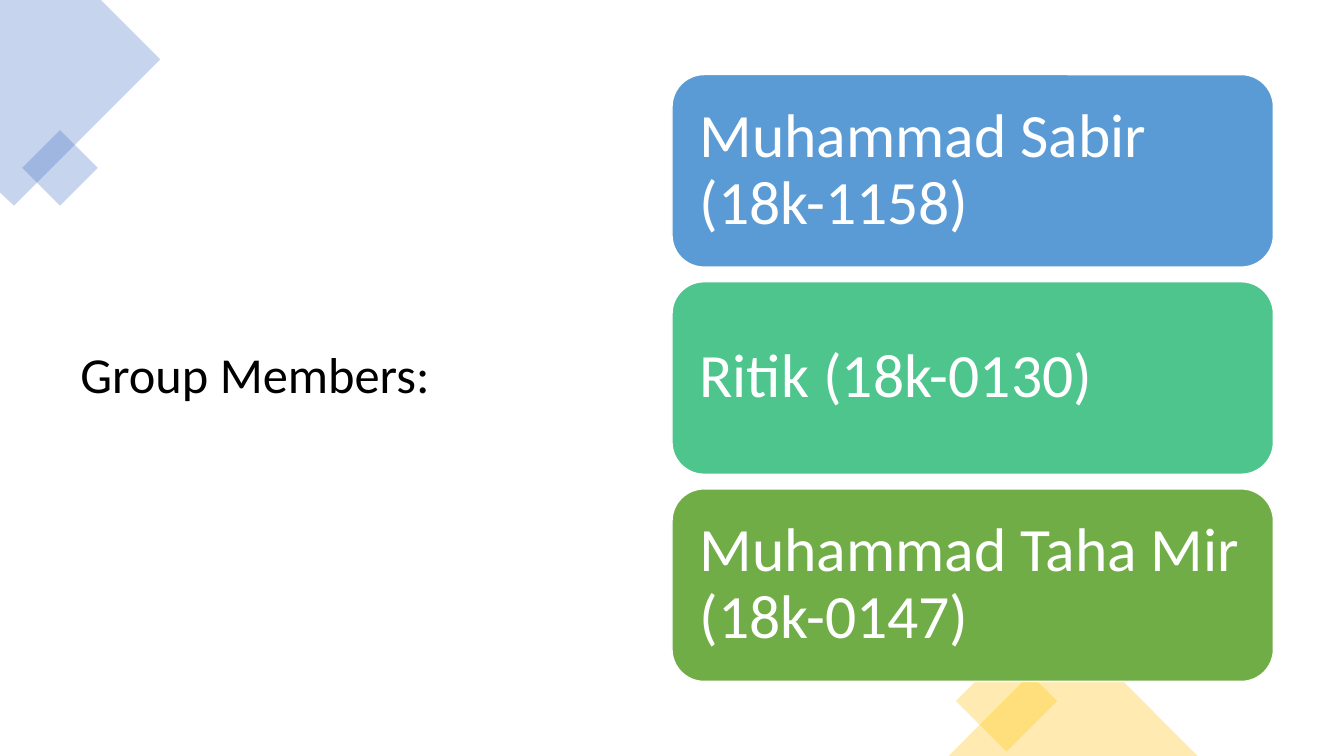
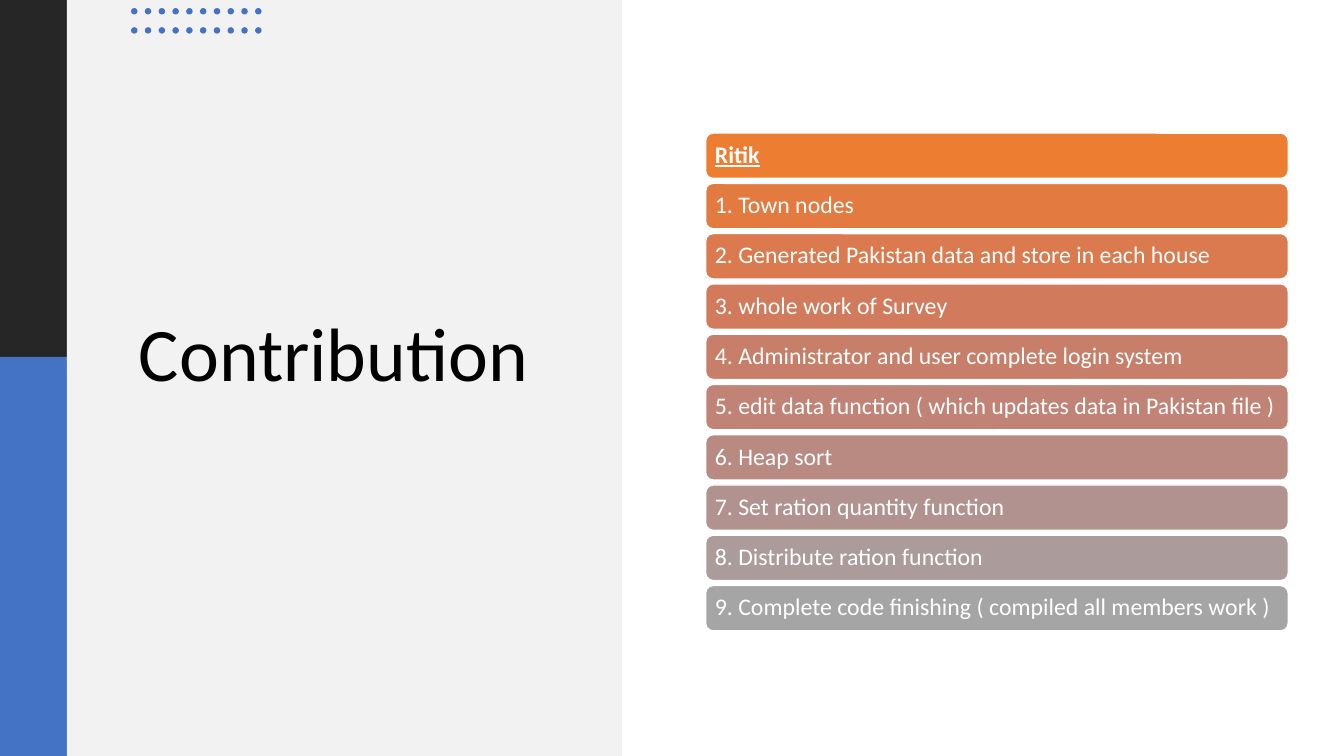
from colorsys import hls_to_rgb, rgb_to_hls
from dataclasses import dataclass, replace

from lxml.etree import SubElement
from pptx import Presentation
from pptx.dml.color import RGBColor
from pptx.enum.shapes import MSO_SHAPE as Preset
from pptx.enum.text import MSO_ANCHOR as Anchor, PP_ALIGN as Align
from pptx.oxml.ns import qn
from pptx.util import Inches, Pt

SLIDE_WIDTH, SLIDE_HEIGHT = Inches(13.333), Inches(7.5)
FONT = "Calibri"
BLACK, WHITE = "000000", "FFFFFF"
BLUE, GOLD, CHARCOAL, PALE_GREY = "4472C4", "FFC000", "262626", "F2F2F2"
ORANGE, GREY = "ED7D31", "A5A5A5"
ACCENT_ALPHA = 30


@dataclass(frozen=True)
class Box:
    """A rectangle in percent of the slide's width and height."""
    left: float
    top: float
    width: float
    height: float

    def emu(self) -> tuple:
        return (across(self.left), down(self.top),
                across(self.width), down(self.height))


@dataclass(frozen=True)
class Part:
    """A preset shape without text."""
    box: Box
    color: str
    preset: Preset = Preset.RECTANGLE
    rotation: float = 0
    alpha: int = 100


@dataclass(frozen=True)
class CardList:
    """A column of equal rounded cards."""
    first: Box
    pitch: float
    inset: float
    size: float


# Slide content
CORNER_OUTLINE = [(0, 0), (7.5, 0), (11.93, 7.87), (1.05, 27.2), (0, 25.47)]
MEMBER_ACCENTS = [
    Part(Box(2.48, 18.67, 3.98, 7.07), BLUE, rotation=45, alpha=ACCENT_ALPHA),
    Part(Box(72.23, 88, 5.33, 9.47), GOLD, rotation=45, alpha=ACCENT_ALPHA),
    Part(Box(70.58, 83.47, 18.53, 16.53), GOLD, Preset.ISOSCELES_TRIANGLE,
         alpha=ACCENT_ALPHA),
]
MEMBER_CARDS = CardList(Box(50, 9.87, 44.75, 25.47), 27.4, 0.18, 44)
MEMBERS = ["Muhammad Sabir (18k-1158)", "Ritik (18k-0130)",
           "Muhammad Taha Mir (18k-0147)"]
MEMBER_COLORS = ["5B9BD5", "4DC58D", "70AD47"]

PANELS = [
    Part(Box(0, 0, 4.98, 47.2), CHARCOAL),
    Part(Box(0, 47.2, 4.98, 52.8), BLUE),
    Part(Box(4.98, 0, 41.3, 100), PALE_GREY),
]
DOT = Part(Box(9.75, 1.07, 0.48, 0.85), BLUE, Preset.OVAL)
DOT_COLUMNS, DOT_ROWS = 10, 2
DOT_SPAN, DOT_ROW_PITCH = 9.23, 2.53
TASK_CARDS = CardList(Box(52.5, 17.6, 43.35, 6), 6.65, 0.07, 17)
TASK_OWNER = "Ritik"
TASKS = [
    "Town nodes",
    "Generated Pakistan data and store in each house",
    "whole work of Survey",
    "Administrator and user complete login system",
    "edit data function ( which updates data in Pakistan file )",
    "Heap sort",
    "Set ration quantity function",
    "Distribute ration function",
    "Complete code finishing ( compiled all members work )",
]


def across(percent: float) -> int:
    return round(SLIDE_WIDTH * percent / 100)


def down(percent: float) -> int:
    return round(SLIDE_HEIGHT * percent / 100)


def set_color(color_format, color: str) -> None:
    color_format.rgb = RGBColor.from_string(color)


def paint(shape, color: str, alpha: int = 100) -> None:
    """Flat fill without shadow or line."""
    shape.shadow.inherit = False
    shape.line.fill.background()
    shape.fill.solid()
    set_color(shape.fill.fore_color, color)
    if alpha < 100:
        value = shape.fill._xPr.find(qn("a:solidFill"))[0]
        SubElement(value, qn("a:alpha"), val=str(alpha * 1000))


def write(shape, text: str, size: float, color: str, **font_extra) -> None:
    frame = shape.text_frame
    frame.word_wrap = True
    frame.vertical_anchor = Anchor.MIDDLE
    paragraph = frame.paragraphs[0]
    paragraph.alignment, paragraph.line_spacing = Align.LEFT, 0.9
    run = paragraph.add_run()
    run.text = text
    formats = {"name": FONT, "size": Pt(size), **font_extra}
    for name, value in formats.items():
        setattr(run.font, name, value)
    set_color(run.font.color, color)


def add_title(slide, text: str, box: Box, size: float) -> None:
    write(slide.shapes.add_textbox(*box.emu()), text, size, BLACK)


def add_part(shapes, part: Part):
    shape = shapes.add_shape(part.preset, *part.box.emu())
    shape.rotation = part.rotation
    paint(shape, part.color, part.alpha)
    return shape


def add_cards(slide, cards: CardList, texts: list, colors: list,
              heading: bool = False) -> None:
    """Draw one card per text; a heading card is bold and underlined."""
    shapes = slide.shapes.add_group_shape().shapes
    for row, (text, color) in enumerate(zip(texts, colors)):
        box = replace(cards.first, top=cards.first.top + row * cards.pitch)
        card = add_part(shapes, Part(box, color, Preset.ROUNDED_RECTANGLE))
        set_color(card.line.color, WHITE)
        card.line.width = Pt(1)
        for side in ("left", "top", "right", "bottom"):
            setattr(card.text_frame, f"margin_{side}", Inches(cards.inset))
        extra = {"bold": True, "underline": True} if heading and row == 0 else {}
        write(card, text, cards.size, WHITE, **extra)


def color_ramp(start: str, end: str, count: int) -> list:
    """Blend two colours evenly in hue, lightness and saturation."""
    first, last = (rgb_to_hls(*(channel / 255 for channel in RGBColor.from_string(color)))
                   for color in (start, end))
    ramp = []
    for step in range(count):
        share = step / (count - 1)
        blend = (a + (b - a) * share for a, b in zip(first, last))
        ramp.append("".join(f"{round(c * 255):02X}" for c in hls_to_rgb(*blend)))
    return ramp


def add_dots(slide) -> None:
    shapes = slide.shapes.add_group_shape().shapes
    pitch = DOT_SPAN / (DOT_COLUMNS - 1)
    for column in range(DOT_COLUMNS):
        for row in range(DOT_ROWS):
            box = replace(DOT.box, left=DOT.box.left + column * pitch,
                          top=DOT.box.top + row * DOT_ROW_PITCH)
            add_part(shapes, replace(DOT, box=box))


def build_members(slide) -> None:
    add_title(slide, "Group Members:", Box(5.25, 9.33, 39.38, 81.2), 36)
    # Corner accents
    points = [(across(x), down(y)) for x, y in CORNER_OUTLINE]
    builder = slide.shapes.build_freeform(*points[0])
    builder.add_line_segments(points[1:], close=True)
    paint(builder.convert_to_shape(), BLUE, ACCENT_ALPHA)
    for accent in MEMBER_ACCENTS:
        add_part(slide.shapes, accent)
    # Member cards
    add_cards(slide, MEMBER_CARDS, MEMBERS, MEMBER_COLORS)


def build_contribution(slide) -> None:
    # Side panels, title and dots
    for panel in PANELS:
        add_part(slide.shapes, panel)
    add_title(slide, "Contribution", Box(9.6, 17.47, 30.9, 59.47), 54)
    add_dots(slide)
    # Task cards
    texts = [TASK_OWNER] + [f"{number}. {task}" for number, task in enumerate(TASKS, 1)]
    add_cards(slide, TASK_CARDS, texts, color_ramp(ORANGE, GREY, len(texts)),
              heading=True)


def main() -> None:
    presentation = Presentation()
    presentation.slide_width, presentation.slide_height = SLIDE_WIDTH, SLIDE_HEIGHT
    blank = presentation.slide_layouts[6]
    for build in (build_members, build_contribution):
        build(presentation.slides.add_slide(blank))
    presentation.save("out.pptx")


if __name__ == "__main__":
    main()
